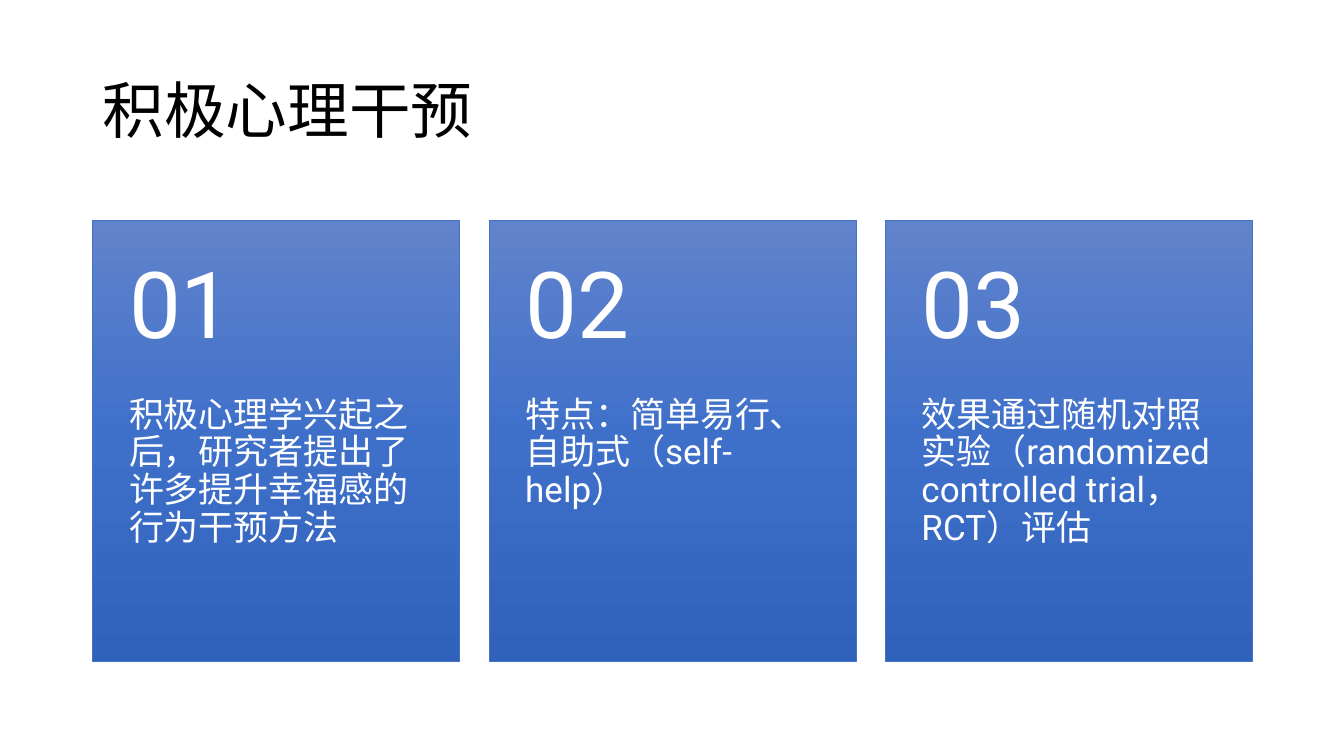
"""Build the slide on positive psychology interventions with three numbered cards."""
from copy import deepcopy

from pptx import Presentation
from pptx.dml.color import RGBColor
from pptx.enum.shapes import MSO_SHAPE
from pptx.enum.text import MSO_ANCHOR, PP_ALIGN
from pptx.oxml.ns import qn
from pptx.util import Inches, Pt

TITLE = "积极心理干预"
CARDS = [
    "积极心理学兴起之后，研究者提出了许多提升幸福感的行为干预方法",
    "特点：简单易行、自助式（self-help）",
    "效果通过随机对照实验（randomized controlled trial，RCT）评估",
]
HEX = {"ink": "000000", "text": "FFFFFF", "edge": "4472C4"}
SHADES = [(0, "6183CB"), (0.5, "3E70CA"), (1, "3062BB")]
FONT = "Roboto"

WIDE, HIGH = 13.33, 7.5
LEFT, TOP = 0.92, 2.19
CARD_W, CARD_H, GAP = 3.64, 4.37, 0.29
HEAD = CARD_H * 0.4
PAD = 0.36


def rgb(code):
    return RGBColor.from_string(code)


def add_text(slide, box, text, size, color, inset, anchor):
    frame = slide.shapes.add_textbox(*map(Inches, box)).text_frame
    frame.word_wrap = True
    frame.vertical_anchor = anchor
    (frame.margin_left, frame.margin_top,
     frame.margin_right, frame.margin_bottom) = map(Inches, inset)
    para = frame.paragraphs[0]
    para.alignment = PP_ALIGN.LEFT
    para.line_spacing = 0.9
    run = para.add_run()
    run.text = text
    run.font.name = FONT
    run.font.size = Pt(size)
    run.font.color.rgb = rgb(color)


def add_panel(slide, box):
    panel = slide.shapes.add_shape(MSO_SHAPE.RECTANGLE, *map(Inches, box))
    panel.shadow.inherit = False
    panel.line.color.rgb = rgb(HEX["edge"])
    panel.line.width = Pt(0.5)
    panel.fill.gradient()
    panel.fill.gradient_angle = 270
    stops = panel._element.spPr.find(".//" + qn("a:gsLst"))
    stops.insert(1, deepcopy(stops[0]))
    for stop, (place, shade) in zip(panel.fill.gradient_stops, SHADES):
        stop.position = place
        stop.color.rgb = rgb(shade)


def main():
    deck = Presentation()
    deck.slide_width, deck.slide_height = Inches(WIDE), Inches(HIGH)
    slide = deck.slides.add_slide(deck.slide_layouts[6])
    add_text(slide, (LEFT, 0.4, WIDE - 2 * LEFT, 1.45), TITLE, 44,
             HEX["ink"], (0.1, 0.05, 0.1, 0.05), MSO_ANCHOR.MIDDLE)
    for i, text in enumerate(CARDS):
        x = LEFT + i * (CARD_W + GAP)
        add_panel(slide, (x, TOP, CARD_W, CARD_H))
        add_text(slide, (x, TOP + HEAD, CARD_W, CARD_H - HEAD), text, 25,
                 HEX["text"], (PAD, 0, PAD, PAD), MSO_ANCHOR.TOP)
        add_text(slide, (x, TOP, CARD_W, HEAD), f"{i + 1:02}", 66,
                 HEX["text"], (PAD, PAD / 2, PAD, PAD / 2), MSO_ANCHOR.MIDDLE)
    deck.save("out.pptx")


if __name__ == "__main__":
    main()
